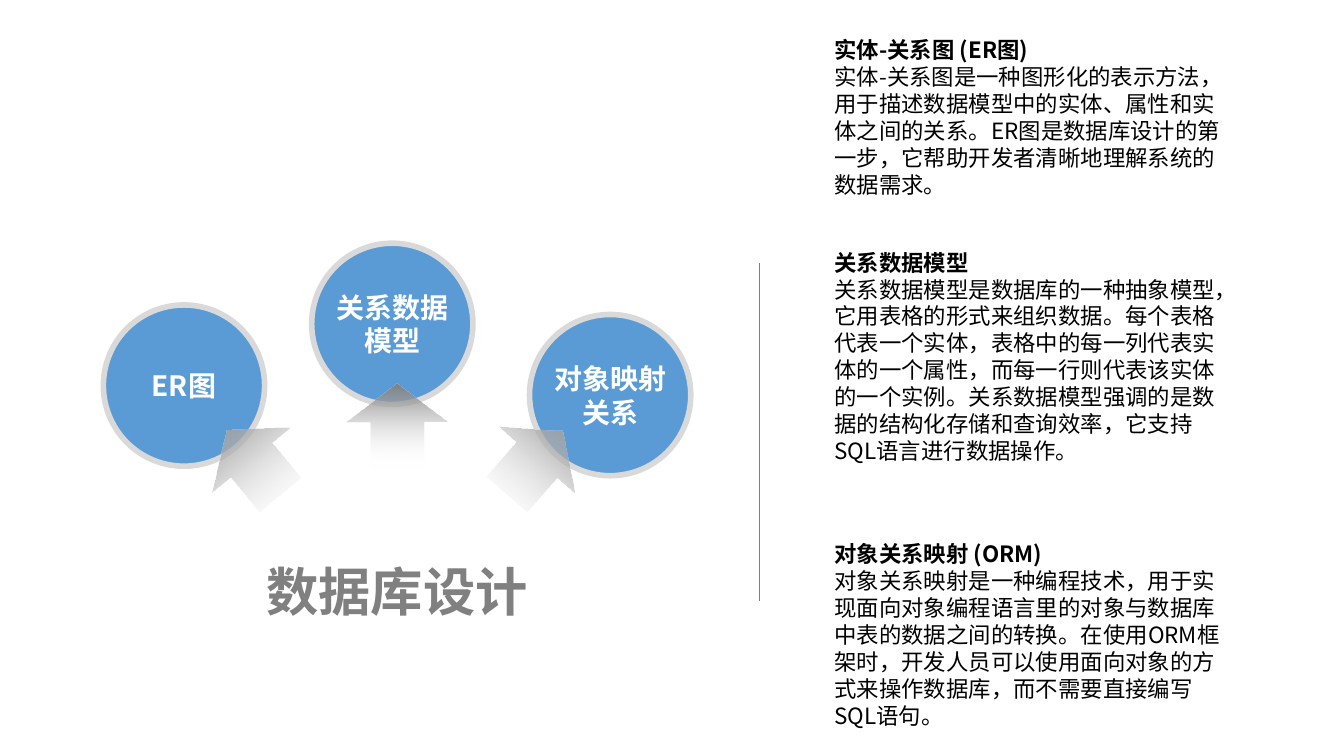
from collections import namedtuple
from dataclasses import dataclass

import pptx
import pptx.dml.color
import pptx.enum.shapes
import pptx.enum.text
import pptx.oxml.ns
import pptx.oxml.xmlchemy
import pptx.util
from lxml import etree

Pt = pptx.util.Pt
RGB = pptx.dml.color.RGBColor.from_string
ShapeType = pptx.enum.shapes.MSO_SHAPE
Align = pptx.enum.text.PP_ALIGN
Anchor = pptx.enum.text.MSO_ANCHOR
AutoSize = pptx.enum.text.MSO_AUTO_SIZE
qn = pptx.oxml.ns.qn

Box = namedtuple("Box", "left top width height")


@dataclass(frozen=True)
class Theme:
    font: str = "Noto Sans CJK SC"
    circle: str = "5B9BD5"
    ring: str = "D9D9D9"
    gray: str = "808080"
    white: str = "FFFFFF"
    black: str = "000000"
    title_size: float = 28
    label_size: float = 15
    body_size: float = 12


THEME = Theme()

# Label, left and top within the diagram
CIRCLES = [
    ("ER图", 0, 33.1),
    ("对象映射关系", 228.3, 38.2),
    ("关系数据模型", 111.6, 0),
]
# Left and top within the diagram, rotation
ARROWS = [(130.4, 75), (53.3, 95), (203.8, 95)]
ROTATIONS = [0, 320.5, 41.3]
# Top and height within the notes column, heading, body
NOTES = [
    (0, 92.9, "实体-关系图 (ER图)",
     "实体-关系图是一种图形化的表示方法，用于描述数据模型中的实体、属性和实体之间的关系。"
     "ER图是数据库设计的第一步，它帮助开发者清晰地理解系统的数据需求。"),
    (113.7, 121.7, "关系数据模型",
     "关系数据模型是数据库的一种抽象模型，它用表格的形式来组织数据。每个表格代表一个实体，"
     "表格中的每一列代表实体的一个属性，而每一行则代表该实体的一个实例。"
     "关系数据模型强调的是数据的结构化存储和查询效率，它支持SQL语言进行数据操作。"),
    (270, 107.3, "对象关系映射 (ORM)",
     "对象关系映射是一种编程技术，用于实现面向对象编程语言里的对象与数据库中表的数据之间的转换。"
     "在使用ORM框架时，开发人员可以使用面向对象的方式来操作数据库，而不需要直接编写SQL语句。"),
]


def apply(target, values):
    for name, value in values.items():
        setattr(target, name, value)


def points(box):
    return [Pt(length) for length in box]


def write(paragraph, text, size, color, bold=True):
    run = paragraph.add_run()
    run.text = text
    apply(run.font, {"name": THEME.font, "size": Pt(size), "bold": bold})
    run.font.color.rgb = RGB(color)
    # East Asian glyphs take their own typeface element
    properties = run.font._element
    etree.SubElement(properties, qn("a:ea")).set("typeface", THEME.font)


def set_frame(frame, side, **values):
    apply(frame, {"word_wrap": True,
                  "margin_left": Pt(side), "margin_right": Pt(side),
                  "margin_top": Pt(3), "margin_bottom": Pt(3), **values})


def add_text_box(slide, box):
    frame = slide.shapes.add_textbox(*points(box)).text_frame
    set_frame(frame, 5, auto_size=AutoSize.SHAPE_TO_FIT_TEXT)
    return frame


def add_circle(slide, box, label):
    circle = slide.shapes.add_shape(ShapeType.OVAL, *points(box))
    circle.shadow.inherit = False
    circle.fill.solid()
    circle.fill.fore_color.rgb = RGB(THEME.circle)
    circle.line.color.rgb = RGB(THEME.ring)
    circle.line.width = Pt(3)
    set_frame(circle.text_frame, 0, vertical_anchor=Anchor.MIDDLE)
    paragraph = circle.text_frame.paragraphs[0]
    paragraph.alignment = Align.CENTER
    write(paragraph, label, THEME.label_size, THEME.white)


def add_arrow(slide, box, rotation):
    arrow = slide.shapes.add_shape(ShapeType.UP_ARROW, *points(box))
    arrow.shadow.inherit = False
    arrow.rotation = rotation
    arrow.adjustments[0] = 0.53
    arrow.adjustments[1] = 0.46
    arrow.line.fill.background()
    # Gray at the tip fading to fully transparent white at the tail
    arrow.fill.gradient()
    arrow.fill.gradient_angle = 270
    for stop, color in zip(arrow.fill.gradient_stops, (THEME.gray, THEME.white)):
        stop.color.rgb = RGB(color)
    tail_color = arrow._element.spPr.findall(".//" + qn("a:srgbClr"))[-1]
    etree.SubElement(tail_color, qn("a:alpha")).set("val", "0")


def add_diagram(slide, box):
    for label, left, top in CIRCLES:
        add_circle(slide, Box(box.left + left, box.top + top, 86.4, 86.4), label)
    for (left, top), rotation in zip(ARROWS, ROTATIONS):
        add_arrow(slide, Box(box.left + left, box.top + top, 54, 44.6), rotation)
    # Diagram title, along the bottom edge
    title_height = 45.4
    title_top = box.top + box.height - title_height
    frame = add_text_box(slide, Box(box.left, title_top, box.width, title_height))
    paragraph = frame.paragraphs[0]
    apply(paragraph, {"alignment": Align.CENTER, "line_spacing": 1.3})
    write(paragraph, "数据库设计", THEME.title_size, THEME.gray)


def add_divider(slide, box):
    divider = slide.shapes.add_connector(
        pptx.enum.shapes.MSO_CONNECTOR.STRAIGHT,
        Pt(box.left), Pt(box.top), Pt(box.left), Pt(box.top + box.height))
    divider.line.color.rgb = RGB(THEME.gray)
    divider.line.width = Pt(0.5)
    etree.SubElement(divider._element.spPr, qn("a:effectLst"))


def add_notes(slide, box):
    for top, height, heading, body in NOTES:
        frame = add_text_box(slide, Box(box.left, box.top + top, box.width, height))
        write(frame.paragraphs[0], heading, THEME.body_size, THEME.black)
        write(frame.add_paragraph(), body, THEME.body_size, THEME.black, bold=False)


def main():
    presentation = pptx.Presentation()
    apply(presentation, {"slide_width": Pt(720), "slide_height": Pt(405)})
    slide = presentation.slides.add_slide(presentation.slide_layouts[6])
    add_diagram(slide, Box(55.4, 130.3, 314.6, 201.6))
    add_divider(slide, Box(406.8, 141.1, 0, 180.7))
    add_notes(slide, Box(442.1, 16.6, 218.2, 377.3))
    presentation.save("out.pptx")


if __name__ == "__main__":
    main()
